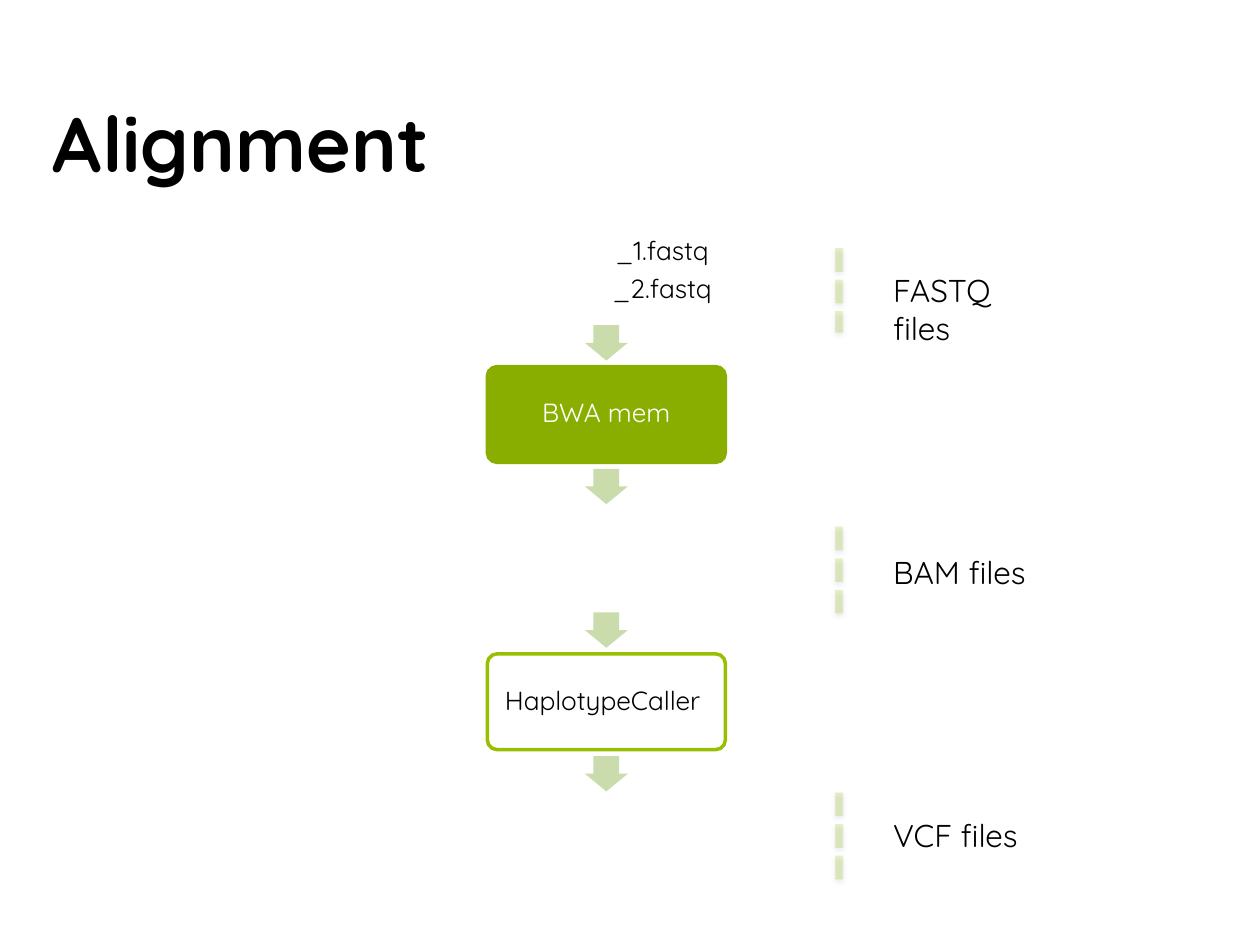
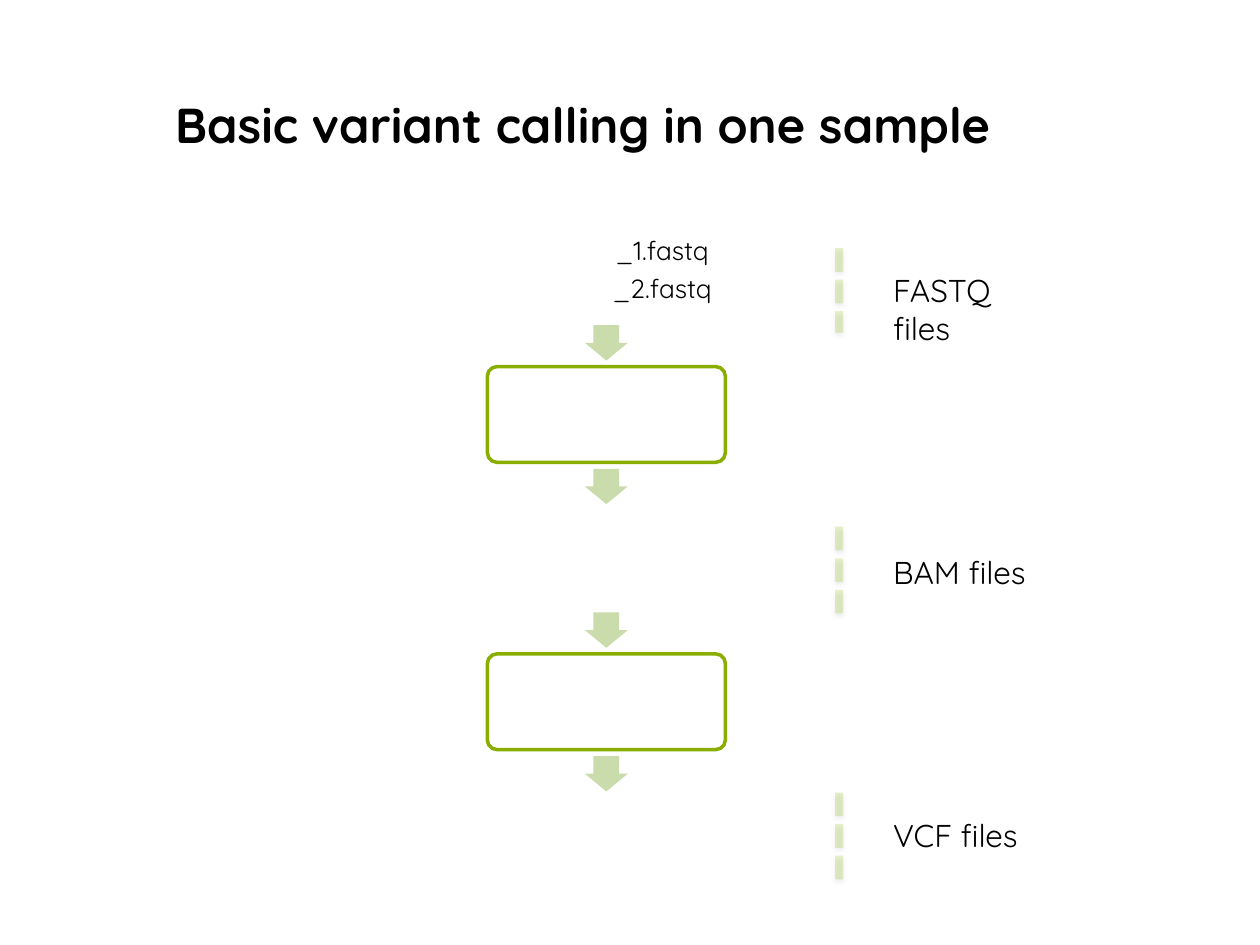
from lxml.etree import SubElement
from pptx import Presentation
from pptx.dml.color import RGBColor
from pptx.enum.dml import MSO_LINE
from pptx.enum.shapes import MSO_CONNECTOR, MSO_SHAPE
from pptx.enum.text import MSO_ANCHOR, MSO_AUTO_SIZE, PP_ALIGN
from pptx.oxml.ns import qn
from pptx.util import Pt

FONT = "Quicksand"
BLACK = RGBColor(0x00, 0x00, 0x00)
WHITE = RGBColor(0xFF, 0xFF, 0xFF)
GREEN = RGBColor(0x89, 0xAE, 0x00)
LIME = RGBColor(0x98, 0xC0, 0x00)
DASH = RGBColor(0x89, 0xC0, 0x00)
PALE = RGBColor(0xCA, 0xDC, 0xAB)

# Flow column: arrows and steps share one vertical pitch
MID = 346.5
PITCH = 82.08
STEP_TOP, STEP_W, STEP_H = 209.5, 136, 54.72
ARROW_TOP, ARROW_W, ARROW_H = 185.8, 24.5, 20.2

# File stages: name, label top, dashed line top and bottom
STAGES = [("FASTQ files", 151.2, 141.8, 190.1),
          ("BAM files", 312.5, 301, 353.5),
          ("VCF files", 463, 452.9, 502.6)]


def put_text(shape, text, size=15, color=BLACK, bold=False, align=PP_ALIGN.LEFT,
             anchor=MSO_ANCHOR.TOP, inset=(7.2, 3.6), line=1.0, after=0):
    frame = shape.text_frame
    frame.word_wrap = True
    frame.auto_size = MSO_AUTO_SIZE.NONE
    frame.vertical_anchor = anchor
    frame.margin_left = frame.margin_right = Pt(inset[0])
    frame.margin_top = frame.margin_bottom = Pt(inset[1])
    frame.text = text
    for para in frame.paragraphs:
        para.alignment = align
        para.line_spacing = line
        para.space_before = Pt(0)
        para.space_after = Pt(after)
        font = para.font
        font.name, font.size, font.bold = FONT, Pt(size), bold
        font.color.rgb = color


def put_flow(shape, text, **style):
    put_text(shape, text, align=PP_ALIGN.CENTER, anchor=MSO_ANCHOR.MIDDLE,
             inset=(6.5, 4.3), line=0.9, after=5.25, **style)


def add_box(slide, left, top, width, height):
    return slide.shapes.add_textbox(Pt(left), Pt(top), Pt(width), Pt(height))


def add_title(slide, text, left, top, size):
    title = slide.shapes.title
    title.left, title.top = Pt(left), Pt(top)
    title.width, title.height = Pt(637.2), Pt(58.3)
    put_text(title, text, size=size, bold=True)


def add_form(slide, kind, top, width, height, fill, edge=None):
    form = slide.shapes.add_shape(kind, Pt(MID - width / 2), Pt(top),
                                  Pt(width), Pt(height))
    form.shadow.inherit = False
    form.fill.solid()
    form.fill.fore_color.rgb = fill
    if edge is None:
        form.line.fill.background()
    else:
        form.line.color.rgb = edge
        form.line.width = Pt(2)
    return form


def add_arrow(slide, row):
    arrow = add_form(slide, MSO_SHAPE.DOWN_ARROW, ARROW_TOP + row * PITCH,
                     ARROW_W, ARROW_H, PALE)
    arrow.adjustments[0], arrow.adjustments[1] = 0.6, 0.5


def add_step(slide, row, text, fill, edge, color):
    step = add_form(slide, MSO_SHAPE.ROUNDED_RECTANGLE, STEP_TOP + row * PITCH,
                    STEP_W, STEP_H, fill, edge)
    step.adjustments[0] = 0.1
    if text:
        put_flow(step, text, color=color)


def add_alpha(node, share):
    SubElement(node, qn("a:alpha"), val=str(share * 1000))


def add_dash(slide, top, end):
    dash = slide.shapes.add_connector(MSO_CONNECTOR.STRAIGHT, Pt(479.5), Pt(top),
                                      Pt(479.5), Pt(end))
    dash.line.color.rgb = DASH
    dash.line.width = Pt(4.5)
    dash.line.dash_style = MSO_LINE.SQUARE_DOT
    props = dash.line._get_or_add_ln().getparent()
    props.find(".//" + qn("a:prstDash")).set("val", "sysDash")
    add_alpha(props.find(".//" + qn("a:srgbClr")), 20)
    # Soft shadow straight below
    glow = SubElement(SubElement(props, qn("a:effectLst")), qn("a:outerShdw"),
                      blurRad=str(Pt(3.1)), dist=str(Pt(1.6)),
                      dir="5400000", rotWithShape="0")
    add_alpha(SubElement(glow, qn("a:srgbClr"), val=str(BLACK)), 38)


def add_slide(deck, title, steps):
    slide = deck.slides.add_slide(deck.slide_layouts[5])
    add_title(slide, *title)
    # File stages on the right
    for name, top, start, end in STAGES:
        put_text(add_box(slide, 503.3, top, 105, 29), name, size=18)
        add_dash(slide, start, end)
    # Flow column
    put_flow(add_box(slide, 338.5, 128.9, 80, 51.8), "_1.fastq\n_2.fastq")
    for row in range(4):
        add_arrow(slide, row)
    for index, step in enumerate(steps):
        add_step(slide, 2 * index, *step)


def main():
    deck = Presentation()
    deck.slide_width, deck.slide_height = Pt(720), Pt(540)
    add_slide(deck, ("Alignment", 23, 51.1, 44),
              [("BWA mem", GREEN, GREEN, WHITE),
               ("HaplotypeCaller ", WHITE, LIME, BLACK)])
    add_slide(deck, ("Basic variant calling in one sample", 92.9, 50.4, 28),
              [("", WHITE, GREEN, BLACK)] * 2)
    deck.save("out.pptx")


if __name__ == "__main__":
    main()
